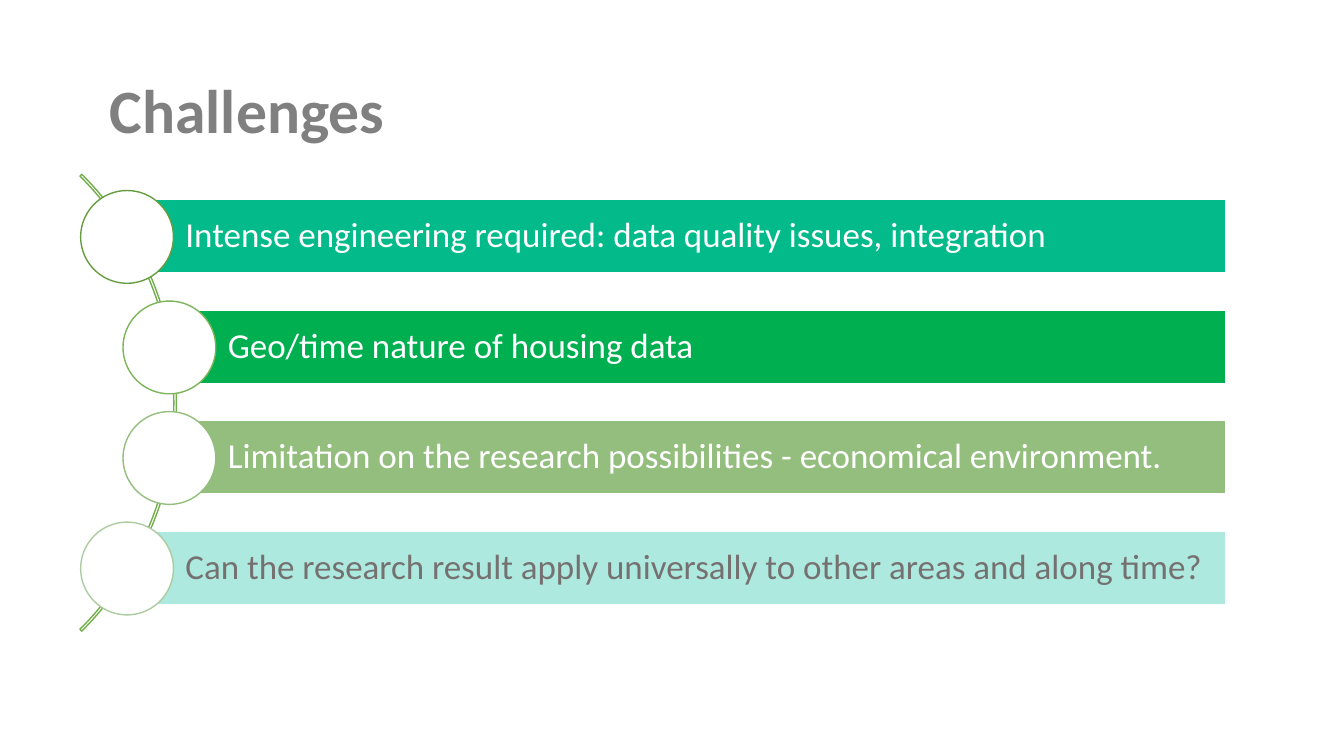
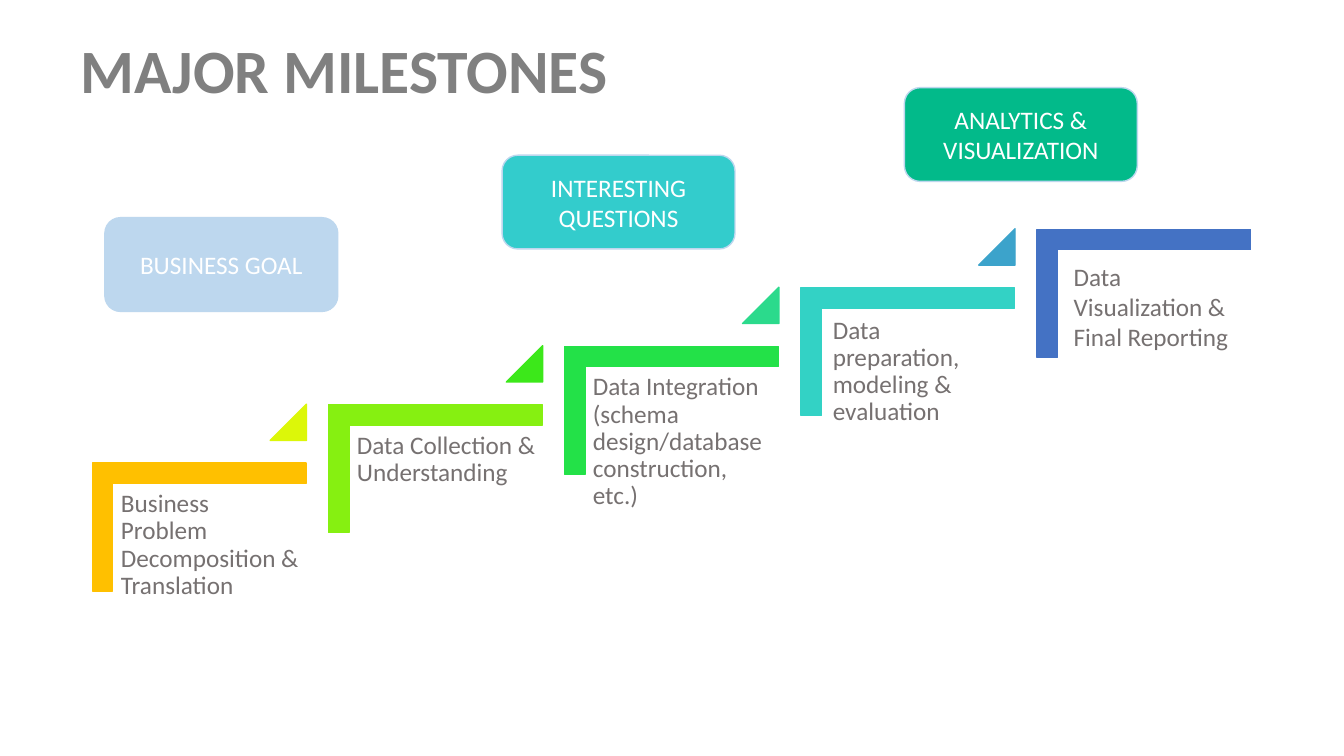
from pptx import Presentation
from pptx.dml.color import RGBColor
from pptx.enum.shapes import MSO_SHAPE as SHAPE
from pptx.enum.text import MSO_ANCHOR as ANCHOR, MSO_AUTO_SIZE as AUTO, PP_ALIGN as ALIGN
from pptx.util import Inches, Pt

FONT = "Calibri"
COLORS = {
    "white": "FFFFFF", "title": "808080", "body": "767171", "arc": "73AE4C",
    "emerald": "02BA8A", "green": "00B050", "sage": "94BE7D", "mint": "ADE9DF",
    "ring_dark": "669D40", "ring_mid": "7BB459", "ring_pale": "ADCBA0",
    "amber": "FFC000", "yellow": "DCF709", "lime": "86F011", "leaf": "3CE81A",
    "grass": "23E148", "jade": "2BDA8C", "turquoise": "33D2C5", "sky": "3CA3CB",
    "blue": "4472C4", "pale_blue": "BDD7EE", "cyan": "33CCCC",
}
CHALLENGES = [
    ("Intense engineering required: data quality issues, integration",
     "emerald", "ring_dark", "white", 0),
    ("Geo/time nature of housing data", "green", "ring_mid", "white", 0.42),
    ("Limitation on the research possibilities - economical environment.",
     "sage", "sage", "white", 0.42),
    ("Can the research result apply universally to other areas and along time?",
     "mint", "ring_pale", "body", 0),
]
STEPS = [
    ("Business Problem Decomposition & Translation", "amber", "yellow", (1.13, 4.8)),
    ("Data Collection & Understanding", "lime", "leaf", (3.47, 4.22)),
    ("Data Integration (schema design/database construction, etc.)",
     "grass", "jade", (5.81, 3.64)),
    ("Data preparation, modeling & evaluation", "turquoise", "sky", (8.19, 3.08)),
    ("Data Visualization & Final Reporting", "blue", None, (10.55, 2.54)),
]
GOALS = [
    ("BUSINESS GOAL", "pale_blue", 1.04, 2.16),
    ("INTERESTING QUESTIONS", "cyan", 4.98, 1.54),
    ("ANALYTICS & VISUALIZATION", "emerald", 8.97, 0.87),
]


def rgb(name):
    """Return the named colour."""
    return RGBColor.from_string(COLORS[name])


def set_text(sp, text, size=18, color="body", bold=False, align=ALIGN.LEFT,
             anchor=ANCHOR.TOP, spacing=0.9, margins=(0.1, 0.05, 0.1, 0.05)):
    """Write one formatted paragraph into a shape."""
    tf = sp.text_frame
    tf.word_wrap = True
    tf.auto_size = AUTO.NONE
    tf.vertical_anchor = anchor
    tf.margin_left, tf.margin_top, tf.margin_right, tf.margin_bottom = map(Inches, margins)
    p = tf.paragraphs[0]
    p.alignment = align
    p.line_spacing = spacing
    r = p.add_run()
    r.text = text
    r.font.name = FONT
    r.font.size = Pt(size)
    r.font.bold = bold
    r.font.color.rgb = rgb(color)


def add_shape(s, kind, x, y, w, h, fill=None, line=None, adjustments=()):
    """Add a flat preset shape, outlined in its fill colour by default."""
    sp = s.shapes.add_shape(kind, Inches(x), Inches(y), Inches(w), Inches(h))
    sp.shadow.inherit = False
    if fill:
        sp.fill.solid()
        sp.fill.fore_color.rgb = rgb(fill)
    else:
        sp.fill.background()
    sp.line.color.rgb = rgb(line or fill)
    sp.line.width = Pt(1)
    for i, value in enumerate(adjustments):
        sp.adjustments[i] = value
    return sp


def add_textbox(s, text, x, y, w, h, **fmt):
    """Add a wrapped text box."""
    sp = s.shapes.add_textbox(Inches(x), Inches(y), Inches(w), Inches(h))
    set_text(sp, text, **fmt)


def add_slide(prs, title, x, y):
    """Add a title-only slide with its title in place."""
    s = prs.slides.add_slide(prs.slide_layouts[5])
    sp = s.shapes.title
    sp.left, sp.top, sp.width, sp.height = map(Inches, (x, y, 11.5, 1.45))
    set_text(sp, title, size=44, color="title", bold=True, anchor=ANCHOR.MIDDLE)
    return s


def add_challenge(s, i, text, fill, ring, color, indent):
    """Add one bar with a circle over its left end."""
    x, y = 1.26 + indent, 1.98 + (5.27 - 1.98) / 3 * i
    bar = add_shape(s, SHAPE.RECTANGLE, x, y, 12.16 - x, 0.73, fill, "white")
    set_text(bar, text, size=25, color=color, anchor=ANCHOR.MIDDLE,
             margins=(0.58, 0.07, 0.07, 0.07))
    add_shape(s, SHAPE.OVAL, x - 0.46, y - 0.09, 0.92, 0.92, "white", ring)


def add_step(s, i, text, fill, marker, text_at):
    """Add one stair corner, its text and the marker leading to the next."""
    x, y = 1.34 + (10.71 - 1.34) / 4 * i, 4.17 - 0.58 * i
    corner = add_shape(s, SHAPE.CORNER, x, y, 1.27, 2.12, fill, adjustments=(0.16, 0.16))
    corner.rotation = 90
    if marker:
        add_shape(s, SHAPE.ISOSCELES_TRIANGLE, x + 1.34, y - 0.16, 0.36, 0.36,
                  marker, adjustments=(1,))
        add_textbox(s, text, *text_at, 1.91, 1.68, margins=(0.07,) * 4)
    else:
        add_textbox(s, text, *text_at, 1.79, 1.01, spacing=1)


def add_goal(s, text, fill, x, y):
    """Add one rounded goal label."""
    sp = add_shape(s, SHAPE.ROUNDED_RECTANGLE, x, y, 2.31, 0.93, fill, "pale_blue")
    set_text(sp, text, color="white", align=ALIGN.CENTER, anchor=ANCHOR.MIDDLE, spacing=1)


def build_challenges(prs):
    """Build the list of challenges along an arc."""
    s = add_slide(prs, "Challenges", 0.99, 0.4)
    add_shape(s, SHAPE.BLOCK_ARC, -4.66, 0.79, 6.41, 6.41, line="arc",
              adjustments=(189, 27, 0.004))
    for i, challenge in enumerate(CHALLENGES):
        add_challenge(s, i, *challenge)


def build_milestones(prs):
    """Build the rising stairs of milestones with their goals."""
    s = add_slide(prs, "MAJOR MILESTONES", 0.7, 0)
    for i, step in enumerate(STEPS):
        add_step(s, i, *step)
    for goal in GOALS:
        add_goal(s, *goal)


def main():
    """Build and save the presentation."""
    prs = Presentation()
    prs.slide_width, prs.slide_height = Inches(13.33), Inches(7.5)
    build_challenges(prs)
    build_milestones(prs)
    prs.save("out.pptx")


if __name__ == "__main__":
    main()
